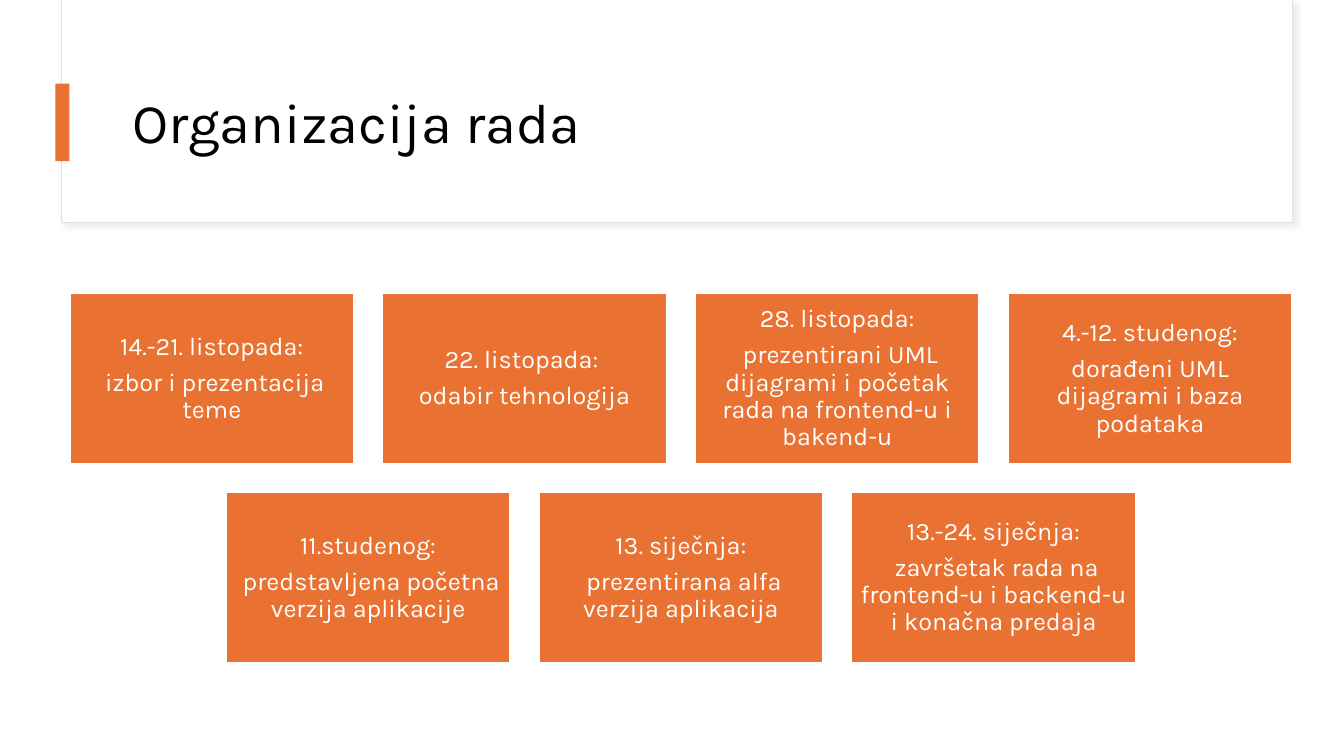
from lxml.etree import SubElement
from pptx import Presentation
from pptx.dml.color import RGBColor
from pptx.enum.shapes import MSO_SHAPE
from pptx.enum.text import MSO_ANCHOR, PP_ALIGN
from pptx.oxml.ns import qn
from pptx.util import Pt

TITLE = "Organizacija rada"
MILESTONE_ROWS = [
    [
        ("14.-21. listopada:", " izbor i prezentacija teme"),
        ("22. listopada: ", "odabir tehnologija"),
        ("28. listopada:", " prezentirani UML dijagrami i početak rada na frontend-u i bakend-u"),
        ("4.-12. studenog:", "dorađeni UML dijagrami i baza podataka"),
    ],
    [
        ("11.studenog:", " predstavljena početna verzija aplikacije"),
        ("13. siječnja:", " prezentirana alfa verzija aplikacija"),
        ("13.-24. siječnja:", " završetak rada na frontend-u i backend-u i konačna predaja"),
    ],
]

THEME = {
    "font": "Karla",
    "title_size": 40,
    "card_size": 18,
    "accent": "E97132",
    "white": "FFFFFF",
    "black": "000000",
    "frame_line": "E1E1E1",
    "shadow": "D9D9D9",
}

SLIDE_SIZE = (960, 540)
FRAME = (43.9, 0, 879.1, 159.1)
PANEL = (44.6, 0, 878.4, 158.4)
TITLE_BOX = (87.8, 43.2, 800.6, 92.9)
ACCENT_BAR = (39.6, 59.8, 10.1, 55.4)
CARD_WIDTH, CARD_HEIGHT, CARD_GAP = 203.2, 121.9, 20.2
CARDS_CENTER, CARDS_TOP = 486.4, 209.5
CARD_INSET = 5.04

CARD_FRAME = {
    "word_wrap": True,
    "vertical_anchor": MSO_ANCHOR.MIDDLE,
    "margin_left": Pt(CARD_INSET),
    "margin_right": Pt(CARD_INSET),
    "margin_top": Pt(CARD_INSET),
    "margin_bottom": Pt(CARD_INSET),
}
CARD_PARAGRAPH = {
    "alignment": PP_ALIGN.CENTER,
    "line_spacing": 0.9,
    "space_after": Pt(0.35 * THEME["card_size"]),
}
TITLE_FRAME = {"word_wrap": True, "vertical_anchor": MSO_ANCHOR.MIDDLE}
TITLE_PARAGRAPH = {"line_spacing": 0.9}


def color(name):
    return RGBColor.from_string(THEME[name])


def set_values(target, values):
    for name, value in values.items():
        setattr(target, name, value)


def add_rectangle(slide, box, fill, line=None, line_width=0):
    shape = slide.shapes.add_shape(MSO_SHAPE.RECTANGLE, *map(Pt, box))
    shape.shadow.inherit = False
    shape.fill.solid()
    shape.fill.fore_color.rgb = color(fill)
    if line:
        shape.line.color.rgb = color(line)
        shape.line.width = Pt(line_width)
    else:
        shape.line.fill.background()
    return shape


def add_soft_shadow(shape):
    effects = shape._element.spPr.find(qn("a:effectLst"))
    shadow = SubElement(effects, qn("a:outerShdw"), blurRad=str(Pt(4)), dist=str(Pt(3)),
                        dir=str(45 * 60000), algn="tl", rotWithShape="0")
    shade = SubElement(shadow, qn("a:srgbClr"), val=THEME["shadow"])
    SubElement(shade, qn("a:alpha"), val="50000")


def write_text(shape, lines, frame_format, paragraph_format, size, font_color):
    frame = shape.text_frame
    set_values(frame, frame_format)
    frame.text = "\n".join(lines)
    for paragraph in frame.paragraphs:
        set_values(paragraph, paragraph_format)
        for run in paragraph.runs:
            set_values(run.font, {"name": THEME["font"], "size": Pt(THEME[size])})
            run.font.color.rgb = color(font_color)


def add_header(slide):
    add_soft_shadow(add_rectangle(slide, FRAME, "white", "frame_line", 0.75))
    add_rectangle(slide, PANEL, "white")
    title = slide.shapes.add_textbox(*map(Pt, TITLE_BOX))
    write_text(title, [TITLE], TITLE_FRAME, TITLE_PARAGRAPH, "title_size", "black")
    add_rectangle(slide, ACCENT_BAR, "accent")


def add_milestones(slide):
    """Draw the rows of cards, each row centred on the same axis."""
    for row, milestones in enumerate(MILESTONE_ROWS):
        row_width = len(milestones) * (CARD_WIDTH + CARD_GAP) - CARD_GAP
        top = CARDS_TOP + row * (CARD_HEIGHT + CARD_GAP)
        for column, lines in enumerate(milestones):
            left = CARDS_CENTER - row_width / 2 + column * (CARD_WIDTH + CARD_GAP)
            card = add_rectangle(slide, (left, top, CARD_WIDTH, CARD_HEIGHT),
                                 "accent", "white", 1.5)
            write_text(card, lines, CARD_FRAME, CARD_PARAGRAPH, "card_size", "white")


def main():
    presentation = Presentation()
    presentation.slide_width, presentation.slide_height = map(Pt, SLIDE_SIZE)
    slide = presentation.slides.add_slide(presentation.slide_layouts[6])
    add_header(slide)
    add_milestones(slide)
    presentation.save("out.pptx")


if __name__ == "__main__":
    main()
